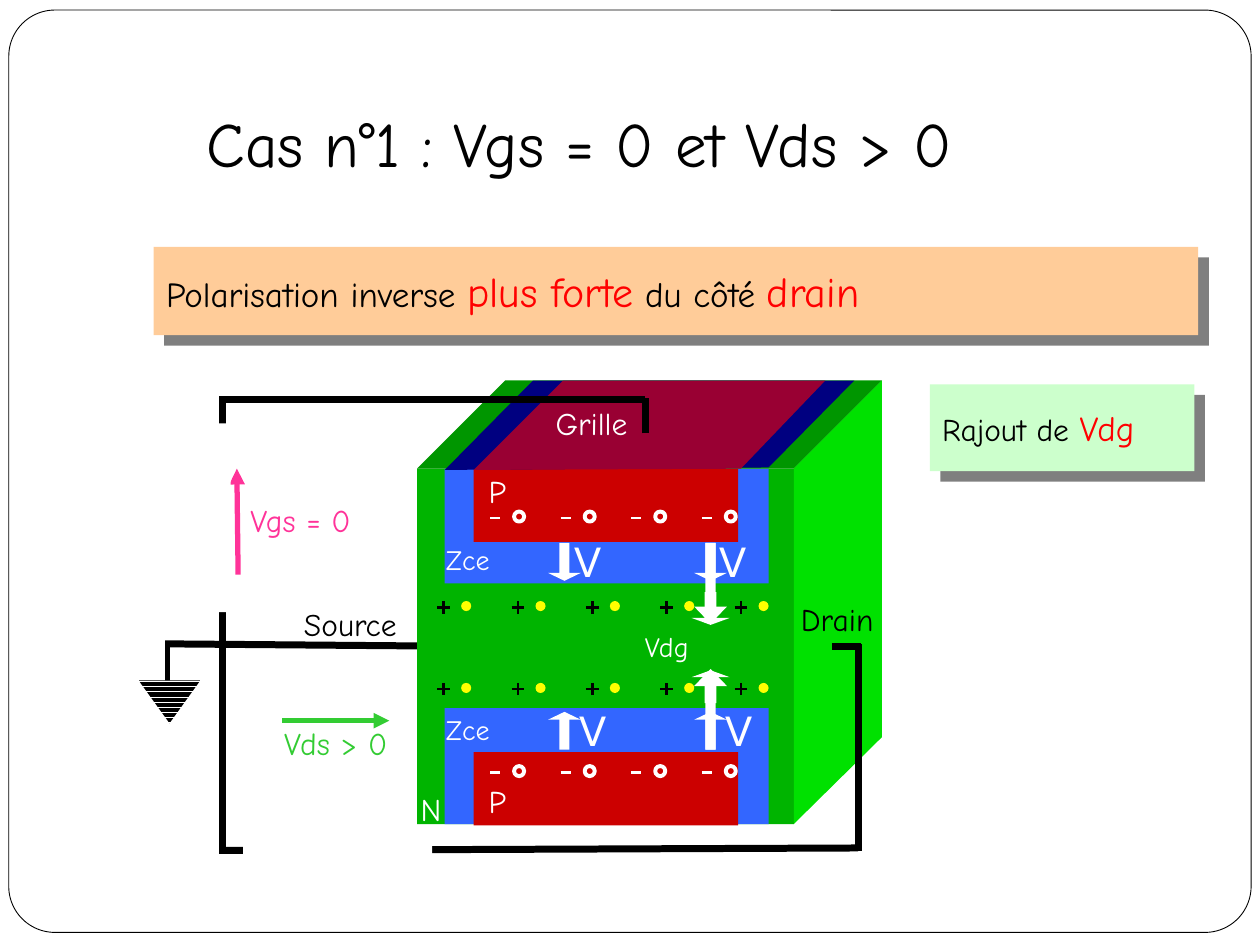
from lxml.etree import SubElement
from pptx import Presentation
from pptx.dml.color import RGBColor
from pptx.enum.dml import MSO_PATTERN
from pptx.enum.shapes import MSO_CONNECTOR, MSO_SHAPE
from pptx.enum.text import MSO_AUTO_SIZE, PP_ALIGN
from pptx.oxml.ns import qn
from pptx.util import Inches, Pt

COLORS = {
    "black": "000000", "white": "FFFFFF", "front": "00B400", "top": "009600",
    "side": "00E100", "blue": "3366FF", "navy": "000080", "red": "CC0000",
    "wine": "990033", "pink": "FF3399", "green": "33CC33", "yellow": "FFFF00",
    "orange": "FFCC99", "mint": "CCFFCC", "accent": "FF0000",
}
FONT = "Comic Neue"
CENTER, LEFT, JUSTIFY = PP_ALIGN.CENTER, PP_ALIGN.LEFT, PP_ALIGN.JUSTIFY

# Transistor block: solid faces, then depletion zones and P regions
FACES = [
    ("top", [(3.31, 3.72), (4.01, 3.02), (7, 3.02), (6.3, 3.72)]),
    ("side", [(6.3, 3.72), (7, 3.02), (7, 5.85), (6.3, 6.54)]),
    ("navy", [(3.53, 3.73), (4.23, 3.02), (6.78, 3.02), (6.1, 3.71)]),
    ("wine", [(3.76, 3.73), (4.47, 3.02), (6.55, 3.02), (5.88, 3.72)]),
]
REGIONS = [
    ("front", (3.31, 3.72, 2.99, 2.82)),
    ("blue", (3.53, 5.62, 2.57, 0.92)), ("blue", (3.53, 3.72, 2.57, 0.91)),
    ("red", (3.76, 3.72, 2.1, 0.58)), ("red", (3.76, 5.97, 2.1, 0.58)),
]

# Circuit: start, end, colour, width, arrowhead
SOURCE_WIRE = ((3.74, 5.13), (1.31, 5.11), "black", 4, False)
WIRES = [
    ((6.81, 6.73), (1.74, 6.75), "black", 4, False),
    ((5.12, 3.17), (1.74, 3.17), "black", 4, False),
    ((1.77, 6.77), (1.77, 3.17), "black", 4, False),
    ((6.81, 6.75), (6.81, 5.11), "black", 4, False),
    ((6.83, 5.13), (6.6, 5.13), "black", 4, False),
    ((5.12, 3.44), (5.12, 3.16), "black", 4, False),
    ((1.33, 5.11), (1.33, 5.41), "black", 3, False),
    ((1.89, 4.56), (1.88, 3.72), "pink", 3, True),
    ((2.24, 5.72), (3.09, 5.72), "green", 3, True),
]
GAPS = [(1.93, 6.68, 1.5, 0.15), (1.68, 3.36, 0.15, 1.5)]

# Labels: text, box, format
LABELS = [
    ("Cas n°1 : Vgs = 0 et Vds > 0", (1.54, 0.78, 6.45, 0.7), dict(size=36, align=LEFT, wrap=False)),
    ("Source", (2.27, 4.75, 1.02, 0.4), {}),
    ("Drain", (6.23, 4.71, 0.83, 0.4), {}),
    ("Vgs = 0", (1.86, 3.93, 1.05, 0.4), dict(color="pink")),
    ("Vds > 0", (2.15, 5.7, 1.03, 0.4), dict(color="green")),
    ("N", (3.22, 6.22, 0.4, 0.4), dict(color="white")),
    ("P", (3.78, 6.16, 0.33, 0.4), dict(color="white")),
    ("P", (3.78, 3.7, 0.33, 0.4), dict(color="white")),
    ("Grille", (4.28, 3.16, 0.83, 0.4), dict(color="white")),
    ("Zce", (3.44, 4.26, 0.95, 0.37), dict(size=16, color="white", align=JUSTIFY, wrap=True)),
    ("Zce", (3.44, 5.61, 0.95, 0.37), dict(size=16, color="white", align=JUSTIFY, wrap=True)),
    ("Vdg", (5.02, 4.95, 0.93, 0.37), dict(size=16, color="white", align=LEFT, wrap=True)),
]
FIELD_LABELS = [(4.46, 4.2), (4.5, 5.54), (5.61, 4.2), (5.66, 5.54)]

# Banners: fill, box, text box, runs of (text, size, colour)
BANNERS = [
    ("orange", (1.22, 1.96, 8.29, 0.7), (1.22, 2.06, 8.22, 0.5),
     [("Polarisation inverse ", 20, "black"), ("plus forte", 24, "accent"),
      (" du côté ", 20, "black"), ("drain", 24, "accent")]),
    ("mint", (7.38, 3.05, 2.1, 0.69), (7.38, 3.18, 1.9, 0.43),
     [("Rajout de ", 18, "black"), ("Vdg", 20, "accent")]),
]

# Field arrows: centre x, top of down arrow, top of up arrow, width, height, head share
FIELDS = [
    (4.48, 4.31, 5.65, 0.26, 0.3, 0.24), (5.64, 4.31, 5.65, 0.26, 0.3, 0.24),
    (5.64, 4.7, 5.32, 0.3, 0.26, 0.21), (5.64, 4.31, 5.31, 0.26, 0.64, 0.52),
]

deck = Presentation()
deck.slide_width, deck.slide_height = Inches(10), Inches(7.5)
page = deck.slides.add_slide(deck.slide_layouts[6])


def rgb(name):
    return RGBColor.from_string(COLORS[name])


def add_shape(kind, box, fill=None, line=None, width=1.0, adjust=()):
    shape = page.shapes.add_shape(kind, *map(Inches, box))
    shape.shadow.inherit = False
    for index, value in enumerate(adjust):
        shape.adjustments[index] = value
    paint(shape, fill, line, width)
    return shape


def paint(shape, fill, line=None, width=1.0):
    if fill:
        shape.fill.solid()
        shape.fill.fore_color.rgb = rgb(fill)
    else:
        shape.fill.background()
    if line:
        shape.line.color.rgb = rgb(line)
        shape.line.width = Pt(width)
    else:
        shape.line.fill.background()


def add_face(fill, points):
    corners = [(Inches(x), Inches(y)) for x, y in points]
    builder = page.shapes.build_freeform(*corners[0])
    builder.add_line_segments(corners[1:], close=True)
    shape = builder.convert_to_shape()
    shape.shadow.inherit = False
    paint(shape, fill)


def add_line(start, end, color, width, arrow=False):
    line = page.shapes.add_connector(MSO_CONNECTOR.STRAIGHT, *map(Inches, start + end))
    line.line.color.rgb = rgb(color)
    line.line.width = Pt(width)
    if arrow:
        SubElement(line.line._get_or_add_ln(), qn("a:tailEnd"), type="triangle")
    SubElement(line._element.spPr, qn("a:effectLst"))


def add_text(text, box, size=18, color="black", font=FONT, align=CENTER, wrap=False):
    """Write a string, or a list of (text, size, colour) runs."""
    frame = page.shapes.add_textbox(*map(Inches, box)).text_frame
    frame.word_wrap = wrap
    frame.auto_size = MSO_AUTO_SIZE.SHAPE_TO_FIT_TEXT
    para = frame.paragraphs[0]
    para.alignment = align
    for words, points, tint in [(text, size, color)] if isinstance(text, str) else text:
        span = para.add_run()
        span.text = words
        span.font.name, span.font.size = font, Pt(points)
        span.font.color.rgb = rgb(tint)


def add_drop_shadow(shape):
    effects = shape._element.spPr.find(qn("a:effectLst"))
    shadow = SubElement(effects, qn("a:outerShdw"), dist=str(Pt(8.5)), dir="2700000",
                        algn="ctr", rotWithShape="0")
    color = SubElement(shadow, qn("a:srgbClr"), val=COLORS["black"])
    SubElement(color, qn("a:alpha"), val="50000")


# Frame and transistor
add_shape(MSO_SHAPE.ROUNDED_RECTANGLE, (0.07, 0.08, 9.86, 7.32), "white", "black", 0.5, [0.05])
add_line(*SOURCE_WIRE)
for fill, box in REGIONS:
    add_shape(MSO_SHAPE.RECTANGLE, box, fill)
for fill, points in FACES:
    add_face(fill, points)

# Circuit and ground
for wire in WIRES:
    add_line(*wire)
ground = add_shape(MSO_SHAPE.ISOSCELES_TRIANGLE, (1.1, 5.4, 0.49, 0.34))
ground.rotation = 180
ground.fill.patterned()
ground.fill.pattern = MSO_PATTERN.DARK_HORIZONTAL
ground.fill.fore_color.rgb, ground.fill.back_color.rgb = rgb("black"), rgb("white")
for box in GAPS:
    add_shape(MSO_SHAPE.RECTANGLE, box, "white")

# Charges: acceptors in the P regions, donors in the channel
for y in (4.11, 6.13):
    for x in [3.89 + 0.56 * column for column in range(4)]:
        add_line((x, y), (x + 0.08, y), "white", 1.5)
        add_shape(MSO_SHAPE.OVAL, (x + 0.19, y - 0.05, 0.08, 0.08), None, "white", 2.25)
for y in (4.82, 5.47):
    for x in [3.52 + 0.59 * column for column in range(5)]:
        add_line((x, y - 0.05), (x, y + 0.05), "black", 1.5)
        add_line((x - 0.05, y), (x + 0.05, y), "black", 1.5)
        add_shape(MSO_SHAPE.OVAL, (x + 0.14, y - 0.05, 0.08, 0.08), "yellow")

# Banners, field arrows and labels
for fill, box, text_box, runs in BANNERS:
    add_drop_shadow(add_shape(MSO_SHAPE.RECTANGLE, box, fill))
    add_text(runs, text_box, align=JUSTIFY, wrap=True)
for center, down, up, width, height, head in FIELDS:
    for kind, top in ((MSO_SHAPE.DOWN_ARROW, down), (MSO_SHAPE.UP_ARROW, up)):
        add_shape(kind, (center - width / 2, top, width, height), "white", adjust=(0.31, head))
for text, box, style in LABELS:
    add_text(text, box, **style)
for corner in FIELD_LABELS:
    add_text("V", corner + (0.45, 0.5), size=24, color="white", font="Cabin", align=LEFT, wrap=True)

deck.save("out.pptx")
